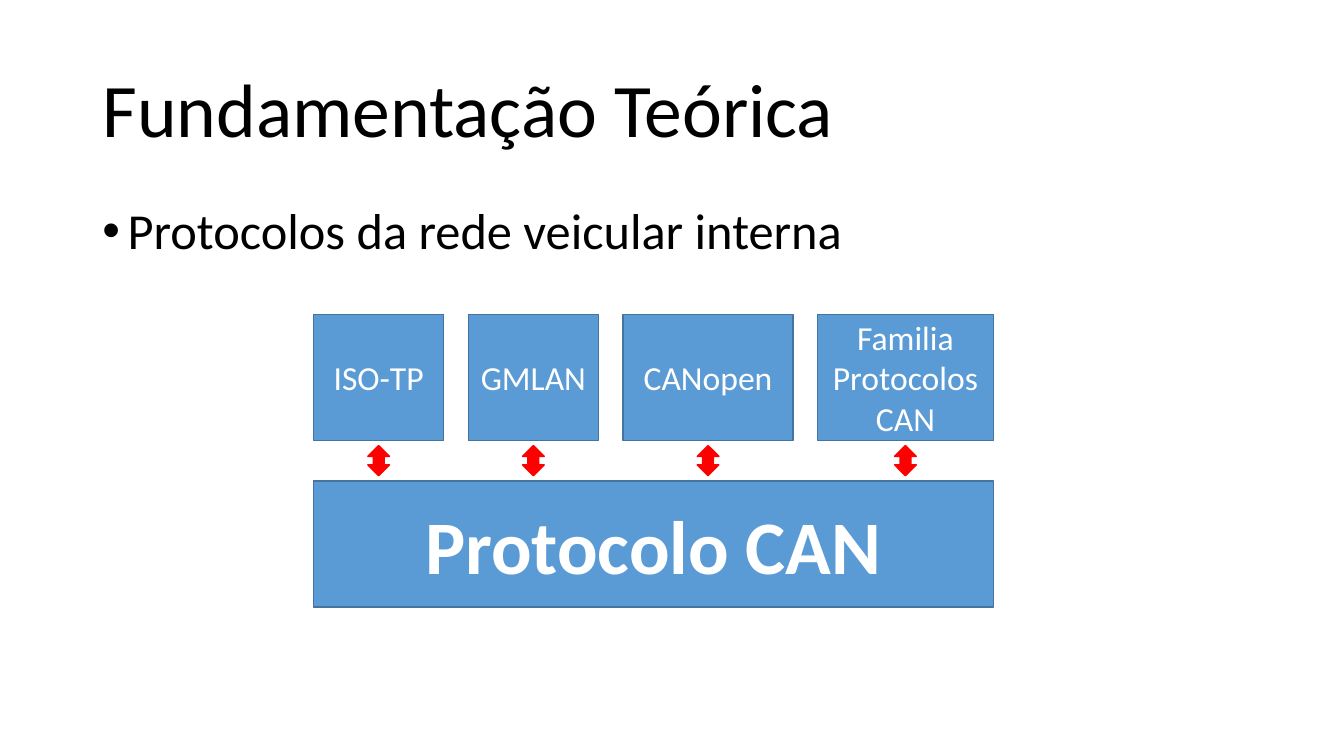
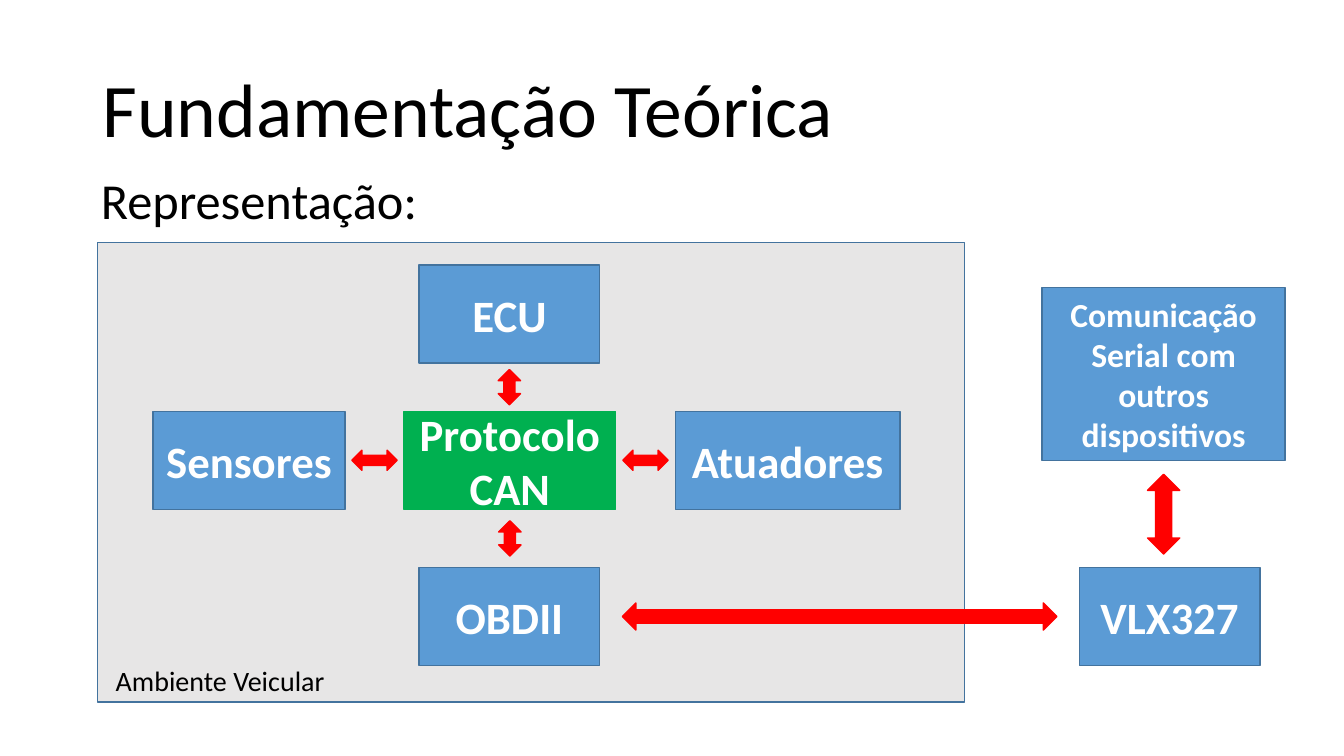
from lxml.etree import SubElement
from pptx import Presentation
from pptx.dml.color import RGBColor
from pptx.enum.shapes import MSO_SHAPE
from pptx.enum.text import MSO_ANCHOR, MSO_AUTO_SIZE, PP_ALIGN
from pptx.oxml.ns import qn
from pptx.util import Pt

COLORS = {
    "text": "000000",
    "inverse": "FFFFFF",
    "box": "5B9BD5",
    "border": "43739E",
    "highlight": "00B050",
    "arrow": "FF0000",
    "panel": "E7E6E6",
}
FONT = "Calibri"
TITLE = "Fundamentação Teórica"


class Deck:
    """Holds the shared style and the slide being built."""

    def __init__(self):
        """Start a widescreen presentation."""
        self.presentation = Presentation()
        self.presentation.slide_width = Pt(960)
        self.presentation.slide_height = Pt(540)
        self.slide = None

    def color(self, role):
        """Return the colour that plays a role."""
        return RGBColor.from_string(COLORS[role])

    def add_text(self, paragraph, text, size, role="text", bold=False):
        """Add one formatted run to a paragraph."""
        run = paragraph.add_run()
        run.text = text
        run.font.name = FONT
        run.font.size = Pt(size)
        run.font.bold = bold
        run.font.color.rgb = self.color(role)

    def fill_placeholder(self, placeholder, area, text, size, anchor):
        """Move a placeholder, set its text and return the paragraph."""
        placeholder.left, placeholder.top, placeholder.width, placeholder.height = map(Pt, area)
        frame = placeholder.text_frame
        frame.auto_size = MSO_AUTO_SIZE.NONE
        frame.vertical_anchor = anchor
        paragraph = frame.paragraphs[0]
        paragraph.alignment = PP_ALIGN.LEFT
        paragraph.line_spacing = 0.9
        self.add_text(paragraph, text, size)
        return paragraph

    def new_slide(self, topic, left, top, bulleted):
        """Add a slide with the common title and a topic line."""
        self.slide = self.presentation.slides.add_slide(self.presentation.slide_layouts[1])
        title, body = self.slide.placeholders
        heading = self.fill_placeholder(
            title, (66, 28.75, 828, 104.4), TITLE, 54, MSO_ANCHOR.MIDDLE)
        heading.space_before = Pt(0)
        line = self.fill_placeholder(body, (left, top, 828, 342.6), topic, 36, MSO_ANCHOR.TOP)
        line.space_before = Pt(10)
        indent = Pt(18) if bulleted else Pt(0)
        properties = line._p.get_or_add_pPr()
        properties.set("marL", str(indent))
        properties.set("indent", str(-indent))
        if bulleted:
            SubElement(properties, qn("a:buFont")).set("typeface", "Arial")
            SubElement(properties, qn("a:buChar")).set("char", "•")
        else:
            SubElement(properties, qn("a:buNone"))

    def shape(self, preset, area, fill, border):
        """Add a flat preset shape."""
        shape = self.slide.shapes.add_shape(preset, *map(Pt, area))
        shape.shadow.inherit = False
        shape.fill.solid()
        shape.fill.fore_color.rgb = self.color(fill)
        shape.line.color.rgb = self.color(border)
        shape.line.width = Pt(1)
        return shape

    def box(self, area, text, size, bold=True, fill="box", border="border"):
        """Add a labelled box and return its area for linking."""
        frame = self.shape(MSO_SHAPE.RECTANGLE, area, fill, border).text_frame
        frame.word_wrap = True
        frame.vertical_anchor = MSO_ANCHOR.MIDDLE
        paragraph = frame.paragraphs[0]
        paragraph.alignment = PP_ALIGN.CENTER
        self.add_text(paragraph, text, size, "inverse", bold)
        return area

    def link_down(self, upper, lower, width, height):
        """Centre a vertical double arrow under the upper box, midway to the lower."""
        center = upper[0] + upper[2] / 2
        middle = (upper[1] + upper[3] + lower[1]) / 2
        area = (center - width / 2, middle - height / 2, width, height)
        self.shape(MSO_SHAPE.UP_DOWN_ARROW, area, "arrow", "arrow")

    def link_across(self, first, second, width, height):
        """Centre a horizontal double arrow between two boxes in a row."""
        center = (first[0] + first[2] + second[0]) / 2
        middle = first[1] + first[3] / 2
        area = (center - width / 2, middle - height / 2, width, height)
        self.shape(MSO_SHAPE.LEFT_RIGHT_ARROW, area, "arrow", "arrow")

    def label(self, area, text, size):
        """Add a single-line text box."""
        frame = self.slide.shapes.add_textbox(*map(Pt, area)).text_frame
        frame.word_wrap = False
        frame.auto_size = MSO_AUTO_SIZE.SHAPE_TO_FIT_TEXT
        self.add_text(frame.paragraphs[0], text, size)


def build_protocols(deck):
    """Show the protocols that rest on CAN."""
    deck.new_slide("Protocolos da rede veicular interna", 66, 143.75, bulleted=True)
    left, gap = 224, 17.5
    can = deck.box((left, 343.5, 485.5, 90), "Protocolo CAN", 54)
    protocols = [("ISO-TP", 93), ("GMLAN", 93), ("CANopen", 121.5),
                 ("Familia Protocolos CAN", 125.5)]
    for name, width in protocols:
        protocol = deck.box((left, 224.6, width, 90), name, 24, bold=False)
        deck.link_down(protocol, can, 15.5, 21.6)
        left += width + gap


def build_environment(deck):
    """Show the vehicle network and its link to the outside."""
    deck.new_slide("Representação:", 64.8, 122.4, bulleted=False)
    deck.shape(MSO_SHAPE.RECTANGLE, (69.6, 173, 619.6, 328.4), "panel", "border")
    top_row, middle_row, bottom_row = 189.4, 293.8, 405.4
    height = 70

    ecu = deck.box((299.4, top_row, 129, height), "ECU", 32)
    can = deck.box((288.6, middle_row, 151.2, height), "Protocolo CAN", 32,
                   fill="highlight", border="highlight")
    sensors = deck.box((109.4, middle_row, 137, height), "Sensores", 32)
    actuators = deck.box((482.4, middle_row, 160.6, height), "Atuadores", 32)
    obd = deck.box((299.4, bottom_row, 129, height), "OBDII", 32)
    adapter = deck.box((771, bottom_row, 129, height), "VLX327", 32)
    serial = deck.box((744.4, 205.2, 173.6, 124),
                      "Comunicação Serial com outros dispositivos", 24)

    for first, second in ((can, actuators), (sensors, can)):
        deck.link_across(first, second, 32.4, 14.4)
    for upper, lower in ((ecu, can), (can, obd)):
        deck.link_down(upper, lower, 16, 25.2)
    deck.link_across(obd, adapter, 310.4, 19.4)
    deck.link_down(serial, adapter, 23, 57)
    deck.label((75.6, 470.2, 165.6, 31.6), "Ambiente Veicular", 20)


deck = Deck()
build_protocols(deck)
build_environment(deck)
deck.presentation.save("out.pptx")
